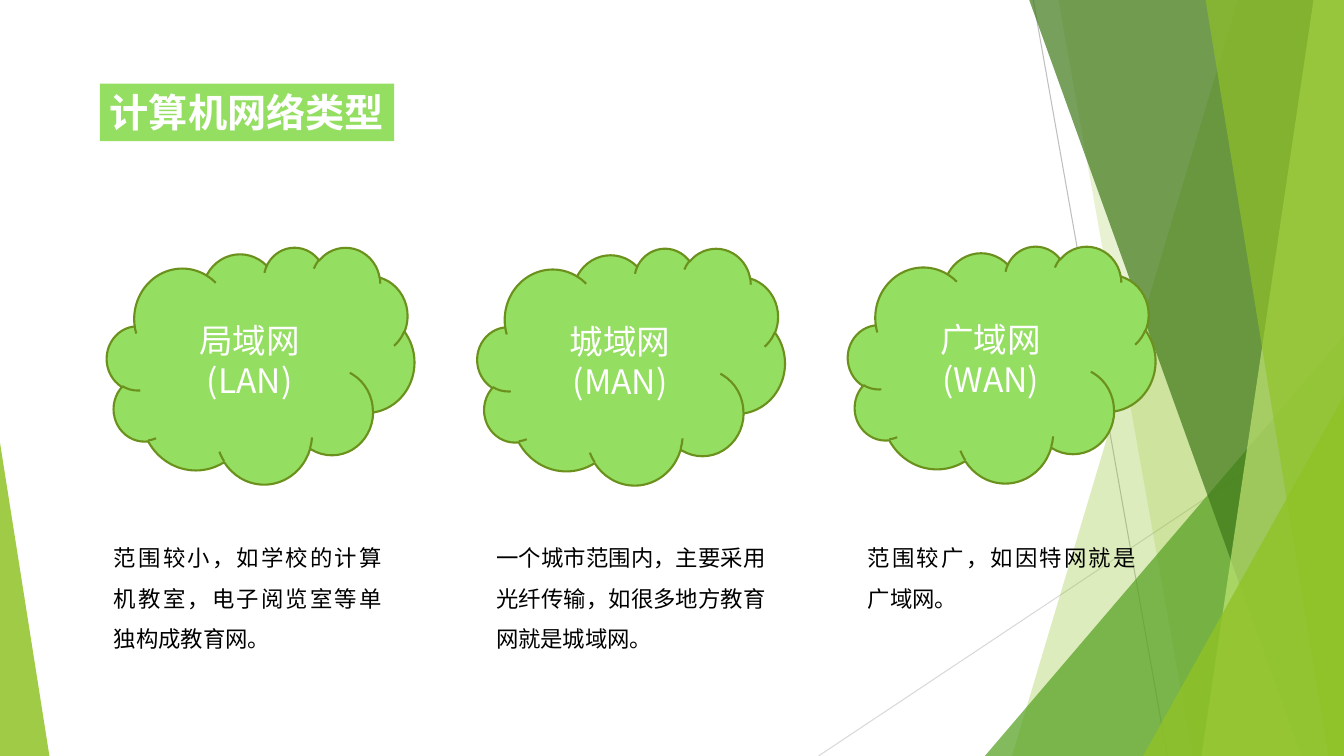
"""Build a slide that presents the three types of computer network."""
from dataclasses import dataclass

from lxml import etree
from pptx import Presentation
from pptx import util as u
from pptx.dml.color import RGBColor
from pptx.enum import shapes, text
from pptx.oxml import ns


@dataclass(frozen=True)
class Theme:
    font: str = "Noto Sans CJK SC"
    accent: str = "94DE61"
    outline: str = "6B901C"
    white: str = "FFFFFF"
    ink: str = "000000"
    lime: str = "90C226"
    leaf: str = "54A021"
    forest: str = "3F7819"
    mint: str = "C0E474"
    title_size: int = 28
    cloud_size: int = 24
    body_size: int = 16


@dataclass(frozen=True)
class Area:
    """Left, top, width and height in percent of the slide."""
    left: float
    top: float
    width: float
    height: float


@dataclass(frozen=True)
class Ray:
    """A thin line between two points in percent of the slide."""
    start: tuple[float, float]
    end: tuple[float, float]
    color: str


@dataclass(frozen=True)
class Band:
    """A full-height band from its slanted left edge to the right side."""
    top_left: float
    bottom_left: float
    color: str
    opacity: int


@dataclass(frozen=True)
class Corner:
    """A triangle in a bottom corner, with its tip at the slide's edge."""
    area: Area
    tip: float
    color: str
    opacity: int


@dataclass(frozen=True)
class Network:
    name: str
    short: str
    note: str
    cloud_top: float
    note_area: Area


THEME = Theme()
WIDTH, HEIGHT = u.Inches(13.33), u.Inches(7.5)
CLOUD_LEFT, CLOUD_STEP, CLOUD_WIDTH, CLOUD_HEIGHT = 7.95, 27.57, 22.88, 31.33
TITLE_AREA = Area(7.43, 11.07, 21.9, 7.6)

RAYS = [
    Ray((76.88, 0), (86.85, 100), "BFBFBF"),
    Ray((100, 53.73), (60.9, 100), "D9D9D9"),
]
DECOR = [
    Band(92.1, 75.3, THEME.lime, 30),
    Band(78.75, 88.73, THEME.lime, 20),
    Corner(Area(73.28, 44.4, 26.72, 55.6), 1, THEME.leaf, 72),
    Band(76.58, 96.83, THEME.forest, 70),
    Band(97.73, 89.4, THEME.mint, 70),
    Band(89.7, 98.85, THEME.lime, 65),
    Corner(Area(85.05, 52.4, 14.95, 47.6), 1, THEME.lime, 80),
    Corner(Area(0, 58.53, 3.68, 41.47), 0, THEME.lime, 85),
]
NETWORKS = [
    Network("局域网", "(LAN)", "范围较小，如学校的计算机教室，电子阅览室等单独构成教育网。",
            32.67, Area(7.95, 69.33, 21, 17.87)),
    Network("城域网", "(MAN)", "一个城市范围内，主要采用光纤传输，如很多地方教育网就是城域网。",
            32.8, Area(36.38, 69.33, 21.15, 17.87)),
    Network("广域网", "(WAN)", "范围较广，如因特网就是广域网。",
            32.53, Area(64.05, 69.33, 21, 12.53)),
]


def across(share: float) -> int:
    return round(WIDTH * share / 100)


def down(share: float) -> int:
    return round(HEIGHT * share / 100)


def place(area: Area) -> tuple[int, int, int, int]:
    return across(area.left), down(area.top), across(area.width), down(area.height)


def paint(shape, color: str, opacity: int = 100) -> None:
    shape.shadow.inherit = False
    shape.line.fill.background()
    shape.fill.solid()
    shape.fill.fore_color.rgb = RGBColor.from_string(color)
    if opacity < 100:
        tint = shape.fill._xPr.find(".//" + ns.qn("a:srgbClr"))
        etree.SubElement(tint, ns.qn("a:alpha"), val=str(opacity * 1000))


def add_span(para, words: str, size: int, color: str, bold: bool = False) -> None:
    span = para.add_run()
    span.text = words
    span.font.size = u.Pt(size)
    span.font.bold = bold
    span.font.color.rgb = RGBColor.from_string(color)
    span.font.name = THEME.font
    etree.SubElement(span.font._element, ns.qn("a:ea"), typeface=THEME.font)


def draw_ray(page, ray: Ray) -> None:
    line = page.shapes.add_connector(
        shapes.MSO_CONNECTOR.STRAIGHT, across(ray.start[0]), down(ray.start[1]),
        across(ray.end[0]), down(ray.end[1]))
    line.line.color.rgb = RGBColor.from_string(ray.color)
    line.line.width = u.Pt(0.75)
    etree.SubElement(line._element.spPr, ns.qn("a:effectLst"))


def draw_decor(page, item: Band | Corner) -> None:
    if isinstance(item, Band):
        builder = page.shapes.build_freeform(across(item.top_left), 0)
        builder.add_line_segments(
            [(WIDTH, 0), (WIDTH, HEIGHT), (across(item.bottom_left), HEIGHT)])
        shape = builder.convert_to_shape()
    else:
        shape = page.shapes.add_shape(
            shapes.MSO_SHAPE.ISOSCELES_TRIANGLE, *place(item.area))
        shape.adjustments[0] = item.tip
    paint(shape, item.color, item.opacity)


def draw_title(page, words: str) -> None:
    box = page.shapes.add_shape(shapes.MSO_SHAPE.RECTANGLE, *place(TITLE_AREA))
    paint(box, THEME.accent)
    frame = box.text_frame
    frame.word_wrap = False
    frame.vertical_anchor = text.MSO_ANCHOR.TOP
    para = frame.paragraphs[0]
    para.alignment = text.PP_ALIGN.LEFT
    add_span(para, words, THEME.title_size, THEME.white, bold=True)


def draw_network(page, network: Network, column: int) -> None:
    area = Area(CLOUD_LEFT + column * CLOUD_STEP, network.cloud_top,
                CLOUD_WIDTH, CLOUD_HEIGHT)
    cloud = page.shapes.add_shape(shapes.MSO_SHAPE.CLOUD, *place(area))
    paint(cloud, THEME.accent)
    cloud.line.color.rgb = RGBColor.from_string(THEME.outline)
    cloud.line.width = u.Pt(1.5)
    cloud.text_frame.vertical_anchor = text.MSO_ANCHOR.MIDDLE
    label = cloud.text_frame.paragraphs[0]
    label.alignment = text.PP_ALIGN.CENTER
    add_span(label, network.name, THEME.cloud_size, THEME.white)
    label.add_line_break()
    add_span(label, network.short, THEME.cloud_size, THEME.white)

    frame = page.shapes.add_textbox(*place(network.note_area)).text_frame
    frame.word_wrap = True
    frame.margin_left = frame.margin_right = u.Inches(0.07)
    frame.margin_top = frame.margin_bottom = u.Inches(0.07)
    para = frame.paragraphs[0]
    para.alignment = text.PP_ALIGN.JUSTIFY
    para.line_spacing = 1.5
    add_span(para, network.note, THEME.body_size, THEME.ink)


def main() -> None:
    deck = Presentation()
    deck.slide_width, deck.slide_height = WIDTH, HEIGHT
    page = deck.slides.add_slide(deck.slide_layouts[6])
    for ray in RAYS:
        draw_ray(page, ray)
    for item in DECOR:
        draw_decor(page, item)
    draw_title(page, "计算机网络类型")
    for column, network in enumerate(NETWORKS):
        draw_network(page, network, column)
    deck.save("out.pptx")


if __name__ == "__main__":
    main()
